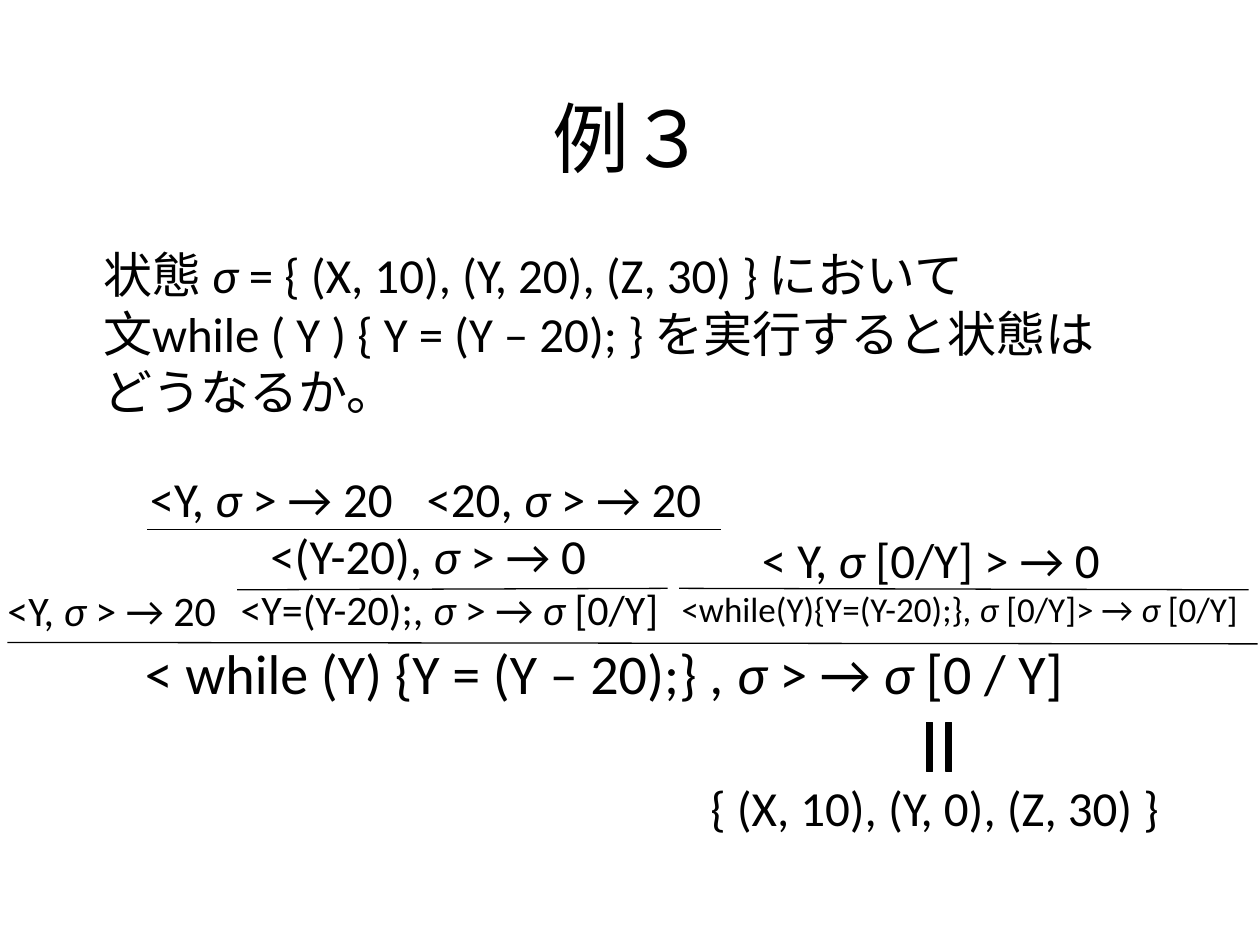
import pptx
import pptx.dml.color
import pptx.enum.shapes
import pptx.enum.text
import pptx.oxml
import pptx.oxml.ns
import pptx.util
from pptx.util import Cm

BLACK = pptx.dml.color.RGBColor(0, 0, 0)
WHITE = pptx.dml.color.RGBColor(255, 255, 255)
SIGMA = "σ"


def write(p, text, size, font="Calibri", color=BLACK):
    for i, part in enumerate(text.split(SIGMA)):
        for piece, italic in ((SIGMA if i else "", True), (part, False)):
            if piece:
                r = p.add_run()
                r.text = piece
                r.font.name = font
                r.font.size = pptx.util.Pt(size)
                r.font.italic = italic
                r.font.color.rgb = color


class Deck:
    line_width = pptx.util.Pt(0.75)

    def __init__(self):
        self.prs = pptx.Presentation()
        self.prs.slide_width = Cm(25.4)
        self.prs.slide_height = Cm(19.05)
        self.s = self.prs.slides.add_slide(self.prs.slide_layouts[5])
        self.s.background.fill.solid()
        self.s.background.fill.fore_color.rgb = WHITE

    def title(self, text, x, y, w, h):
        sp = self.s.shapes.title
        sp.left, sp.top, sp.width, sp.height = Cm(x), Cm(y), Cm(w), Cm(h)
        tf = sp.text_frame
        tf.vertical_anchor = pptx.enum.text.MSO_ANCHOR.MIDDLE
        p = tf.paragraphs[0]
        p.alignment = pptx.enum.text.PP_ALIGN.CENTER
        write(p, text, 44)

    def text(self, x, y, w, h, *lines, tab=None):
        tf = self.s.shapes.add_textbox(Cm(x), Cm(y), Cm(w), Cm(h)).text_frame
        tf.word_wrap = True
        for i, (text, size, indent) in enumerate(lines):
            p = tf.add_paragraph() if i else tf.paragraphs[0]
            pPr = p._p.get_or_add_pPr()
            if indent:
                pPr.set("marL", str(Cm(indent)))
            if tab:
                tabs = pptx.oxml.parse_xml(
                    f'<a:tabLst {pptx.oxml.ns.nsdecls("a")}>'
                    f'<a:tab pos="{Cm(tab)}" algn="l"/></a:tabLst>')
                pPr.append(tabs)
            write(p, text, size)

    def line(self, x1, y1, x2, y2):
        c = self.s.shapes.add_connector(
            pptx.enum.shapes.MSO_CONNECTOR.STRAIGHT, Cm(x1), Cm(y1), Cm(x2), Cm(y2))
        c.line.color.rgb = BLACK
        c.line.width = self.line_width
        c._element.spPr.append(pptx.oxml.parse_xml(
            f'<a:effectLst {pptx.oxml.ns.nsdecls("a")}/>'))

    def equals(self, x, y, w, h):
        sp = self.s.shapes.add_shape(
            pptx.enum.shapes.MSO_SHAPE.MATH_EQUAL, Cm(x), Cm(y), Cm(w), Cm(h))
        sp.rotation = 270
        sp.adjustments[0] = 0.11
        sp.adjustments[1] = 0.27
        sp.shadow.inherit = False
        sp.fill.solid()
        sp.fill.fore_color.rgb = BLACK
        sp.line.color.rgb = BLACK
        sp.line.width = self.line_width


def main():
    d = Deck()
    d.title("例３", 1.9, 1.17, 21.6, 3.18)
    d.text(3.63, 10.46, 10.26, 2.49,
           ("<(Y-20), σ > → 0", 28, 1.57),
           ("<Y=(Y-20);, σ > → σ [0/Y]", 24, 0.97))
    d.line(13.69, 11.86, 25.17, 11.89)
    d.text(1.83, 4.8, 21.29, 3.84,
           ("状態 σ = { (X, 10), (Y, 20), (Z, 30) } において", 28, 0),
           ("文while ( Y ) { Y = (Y – 20); } を実行すると状態はどうなるか。", 28, 0))
    d.text(14.07, 15.54, 10.21, 1.45, ("{ (X, 10), (Y, 0), (Z, 30) }", 28, 0))
    d.equals(18.26, 14.55, 1.35, 1.02)
    d.text(-0.1, 11.66, 5.64, 1.27, ("<Y, σ > → 20", 24, 0))
    d.line(4.78, 11.89, 13.46, 11.86)
    d.line(0.15, 12.95, 25.35, 12.98)
    d.text(2.67, 12.75, 20.14, 1.63,
           ("< while (Y) {Y = (Y – 20);} , σ > → σ [0 / Y]", 32, 0))
    d.line(2.97, 10.67, 14.53, 10.67)
    d.text(13.49, 10.54, 12.09, 2.31,
           ("< Y, σ [0/Y] > → 0", 28, 1.62),
           ("<while(Y){Y=(Y-20);}, σ [0/Y]> → σ [0/Y]", 20, 0))
    d.text(2.77, 9.32, 12.09, 1.45, ("<Y, σ > → 20\t<20, σ > → 20", 28, 0), tab=5.58)
    d.prs.save("out.pptx")


if __name__ == "__main__":
    main()
